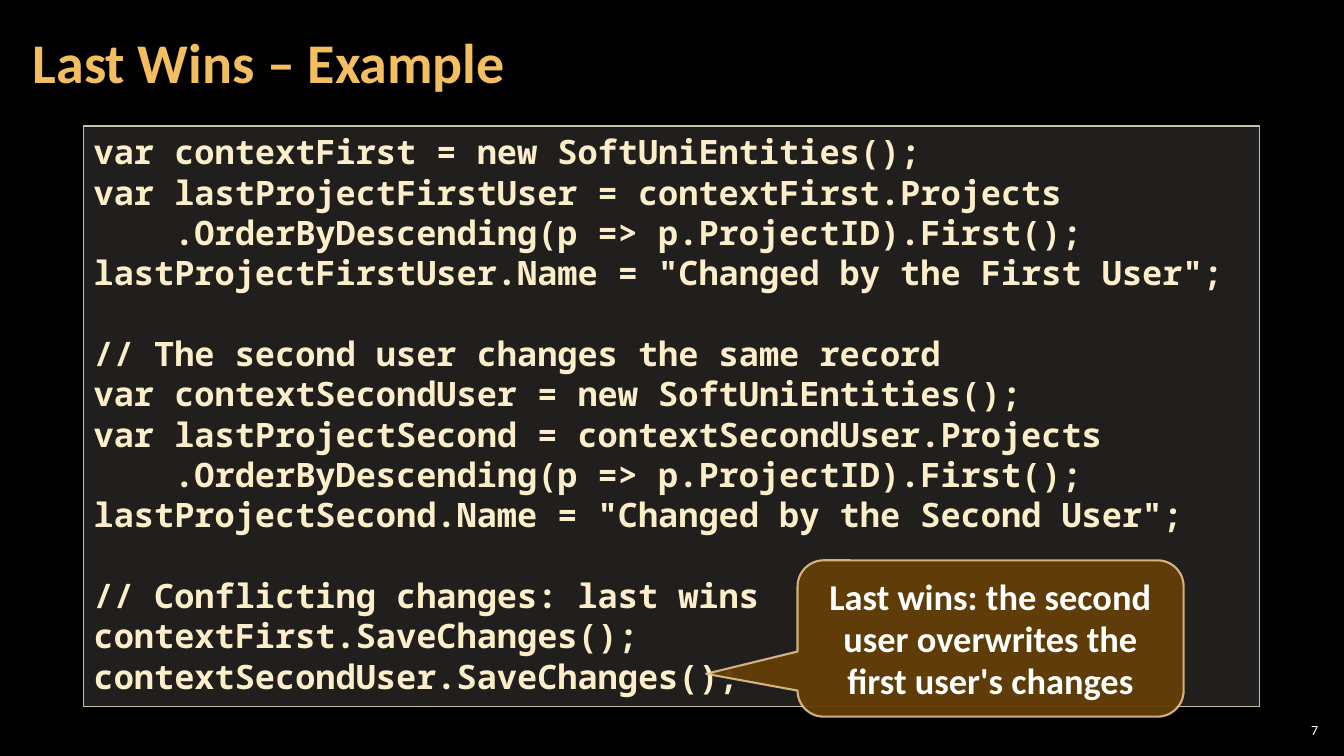
from dataclasses import dataclass

from lxml import etree
from pptx import Presentation
from pptx.dml.color import RGBColor
from pptx.enum import shapes, text
from pptx.oxml import ns
from pptx.util import Cm, Pt


@dataclass(frozen=True)
class Theme:
    background: str = "000000"
    title: str = "F3BE60"
    code: str = "FBEEC9"
    code_fill: str = "D9D5C7"
    code_line: str = "C7BFAC"
    callout_fill: str = "643F07"
    callout_line: str = "F8D49E"
    white: str = "FFFFFF"
    body_font: str = "Calibri"
    code_font: str = "Noto Sans Mono"
    title_size: int = 40
    code_size: int = 24
    callout_size: int = 26
    number_size: int = 10
    code_pitch: float = 28.8
    callout_pitch: int = 30


THEME = Theme()

CODE_BLOCKS = [
    """var contextFirst = new SoftUniEntities();
var lastProjectFirstUser = contextFirst.Projects
    .OrderByDescending(p => p.ProjectID).First();
lastProjectFirstUser.Name = "Changed by the First User";""",
    """// The second user changes the same record
var contextSecondUser = new SoftUniEntities();
var lastProjectSecond = contextSecondUser.Projects
    .OrderByDescending(p => p.ProjectID).First();
lastProjectSecond.Name = "Changed by the Second User";""",
    """// Conflicting changes: last wins
contextFirst.SaveChanges();
contextSecondUser.SaveChanges();""",
]


def set_alpha(color_format, percent):
    color = color_format._xFill.find(ns.qn("a:srgbClr"))
    etree.SubElement(color, ns.qn("a:alpha"), val=str(percent * 1000))


def paint(shape, fill, fill_alpha, line, line_width, line_alpha=100):
    shape.shadow.inherit = False
    shape.fill.solid()
    shape.fill.fore_color.rgb = RGBColor.from_string(fill)
    set_alpha(shape.fill.fore_color, fill_alpha)
    shape.line.width = Pt(line_width)
    shape.line.color.rgb = RGBColor.from_string(line)
    if line_alpha < 100:
        set_alpha(shape.line.color, line_alpha)


def set_frame(shape, anchor, horizontal=0.25, vertical=0.13):
    frame = shape.text_frame
    frame.word_wrap = True
    frame.auto_size = text.MSO_AUTO_SIZE.NONE
    frame.vertical_anchor = anchor
    frame.margin_left = frame.margin_right = Cm(horizontal)
    frame.margin_top = frame.margin_bottom = Cm(vertical)
    return frame


def add_run(paragraph, words, font, size, color, bold=True):
    run = paragraph.add_run()
    run.text = words
    run.font.name = font
    run.font.size = Pt(size)
    run.font.bold = bold
    run.font.color.rgb = RGBColor.from_string(color)


def set_title(slide, words):
    title = slide.shapes.title
    title.left, title.top, title.width, title.height = Cm(0.53), Cm(0.1), Cm(26.6), Cm(3.07)
    paragraph = set_frame(title, text.MSO_ANCHOR.MIDDLE, 0.3, 0.1).paragraphs[0]
    paragraph.alignment = text.PP_ALIGN.LEFT
    paragraph.line_spacing = 0.9
    add_run(paragraph, words, THEME.body_font, THEME.title_size, THEME.title)


def add_code(slide, blocks):
    box = slide.shapes.add_shape(
        shapes.MSO_SHAPE.RECTANGLE, Cm(2.11), Cm(3.18), Cm(29.64), Cm(14.63))
    paint(box, THEME.code_fill, 15, THEME.code_line, 1)
    frame = set_frame(box, text.MSO_ANCHOR.TOP)
    paragraph = frame.paragraphs[0]
    for block_index, block in enumerate(blocks):
        for line_index, line in enumerate(block.splitlines()):
            if block_index or line_index:
                paragraph = frame.add_paragraph()
            if block_index and not line_index:
                paragraph.space_before = Pt(THEME.code_pitch)
            paragraph.alignment = text.PP_ALIGN.LEFT
            add_run(paragraph, line, THEME.code_font, THEME.code_size, THEME.code)


def add_callout(slide, words):
    callout = slide.shapes.add_shape(
        shapes.MSO_SHAPE.ROUNDED_RECTANGULAR_CALLOUT, Cm(20.1), Cm(14.12), Cm(9.73), Cm(3.94))
    for index, value in enumerate((-0.737, 0.226, 0.167)):
        callout.adjustments[index] = value
    paint(callout, THEME.callout_fill, 95, THEME.callout_line, 1.5, 80)
    paragraph = set_frame(callout, text.MSO_ANCHOR.MIDDLE).paragraphs[0]
    paragraph.alignment = text.PP_ALIGN.CENTER
    paragraph.line_spacing = Pt(THEME.callout_pitch)
    add_run(paragraph, words, THEME.body_font, THEME.callout_size, THEME.white)


def add_slide_number(slide, number):
    box = slide.shapes.add_textbox(Cm(32.13), Cm(18.14), Cm(1.19), Cm(0.53))
    paragraph = set_frame(box, text.MSO_ANCHOR.MIDDLE, 0.1, 0.1).paragraphs[0]
    paragraph.alignment = text.PP_ALIGN.RIGHT
    add_run(paragraph, number, THEME.body_font, THEME.number_size, THEME.white, bold=False)


def main():
    presentation = Presentation()
    presentation.slide_width, presentation.slide_height = Cm(33.87), Cm(19.05)
    slide = presentation.slides.add_slide(presentation.slide_layouts.get_by_name("Title Only"))
    slide.background.fill.solid()
    slide.background.fill.fore_color.rgb = RGBColor.from_string(THEME.background)
    set_title(slide, "Last Wins – Example")
    add_code(slide, CODE_BLOCKS)
    add_callout(slide, "Last wins: the second user overwrites the first user's changes")
    add_slide_number(slide, "7")
    presentation.save("out.pptx")


if __name__ == "__main__":
    main()
